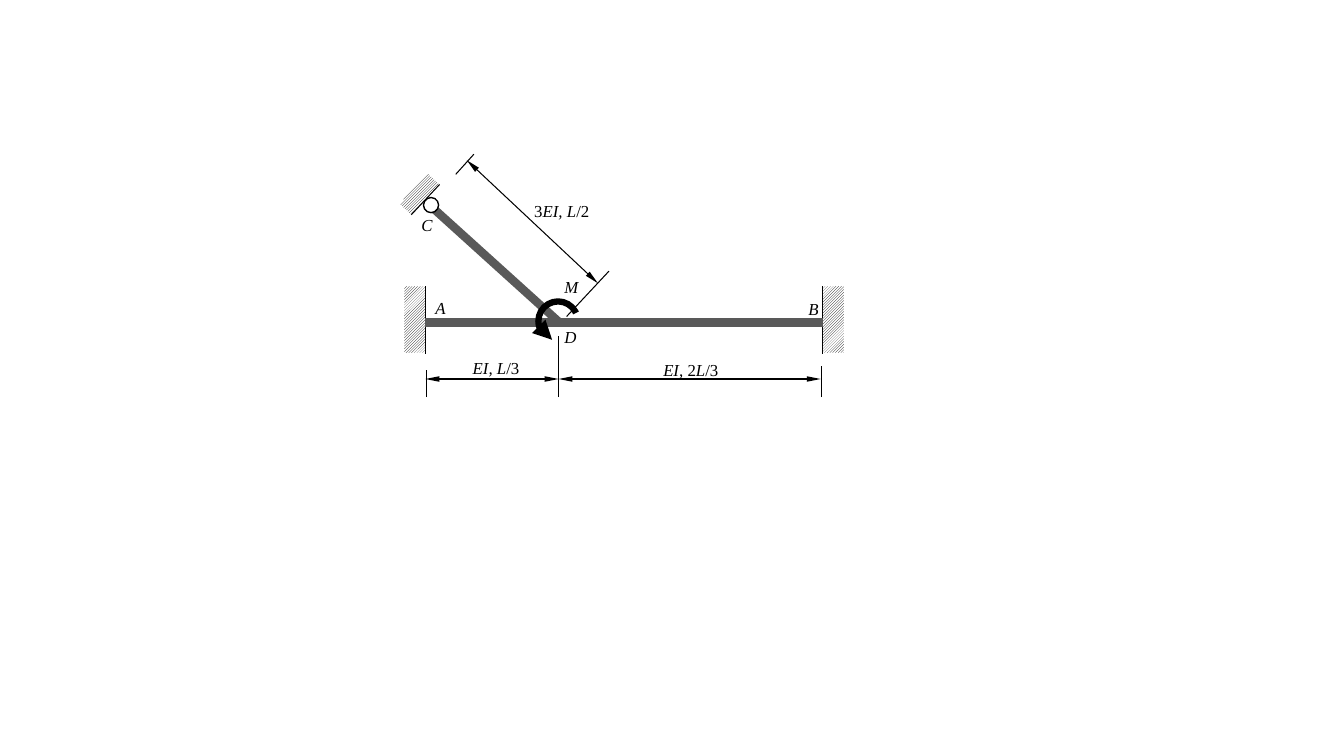
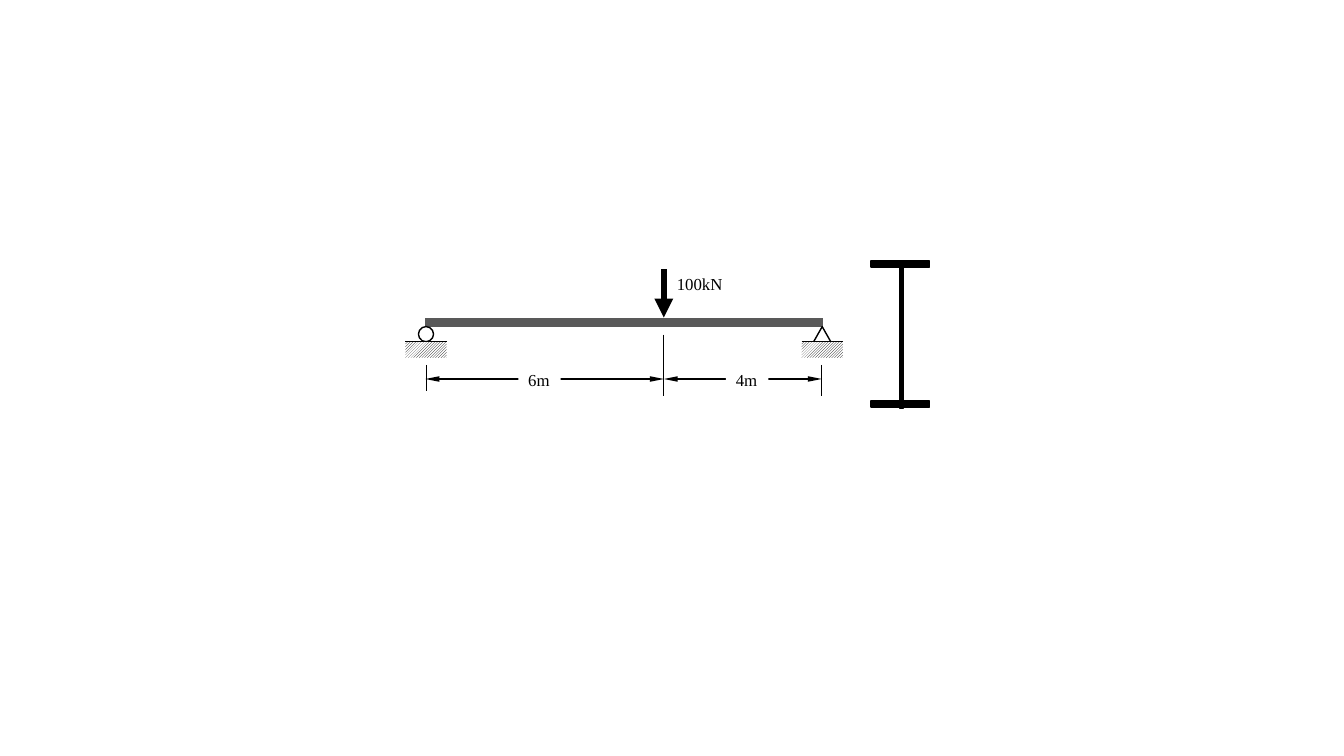
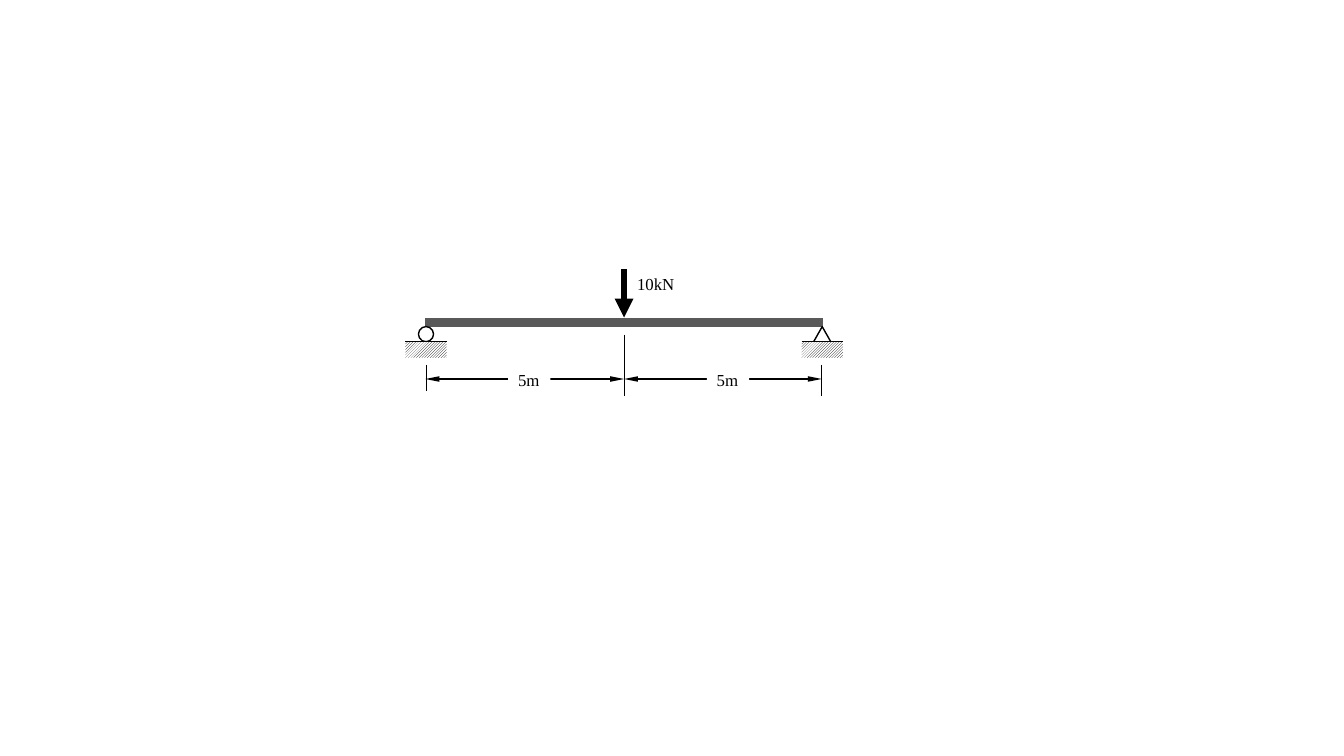
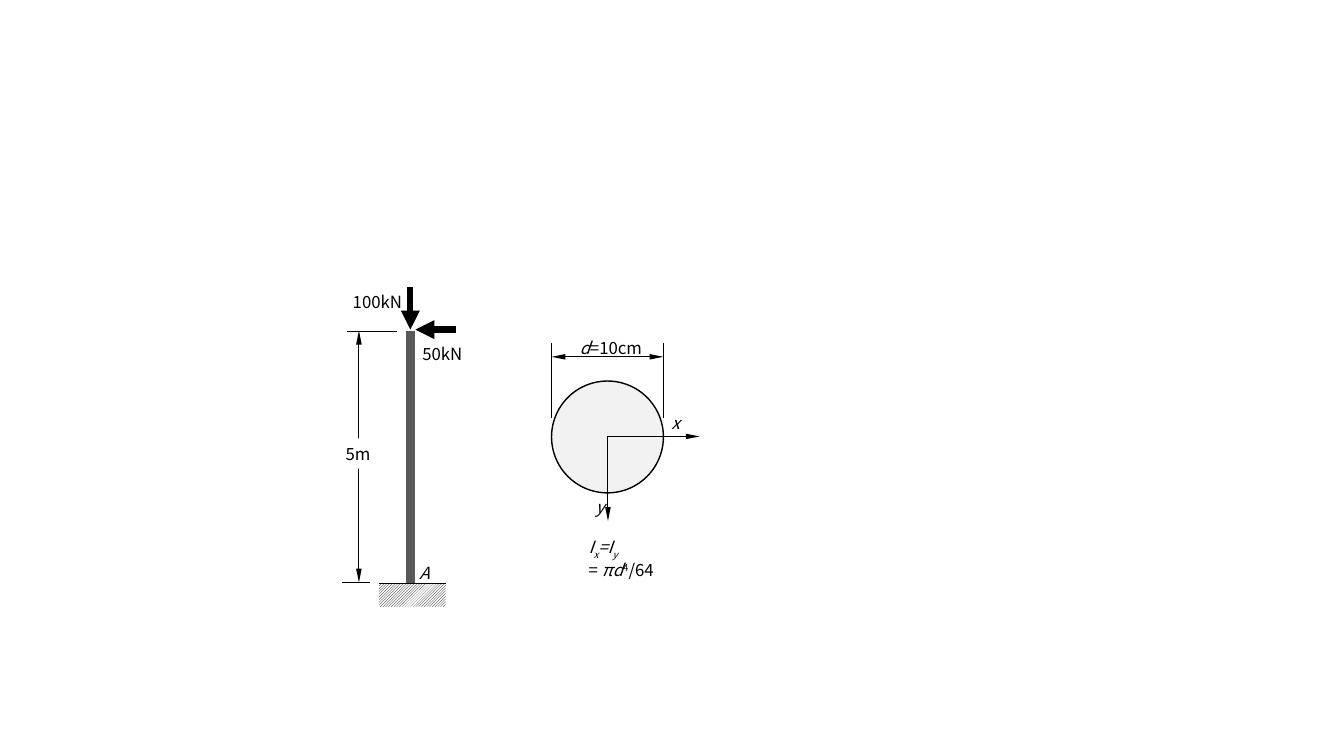
from lxml.etree import SubElement
from pptx import Presentation
from pptx.dml.color import RGBColor
from pptx.enum.dml import MSO_PATTERN
from pptx.enum.shapes import MSO_CONNECTOR, MSO_SHAPE
from pptx.enum.text import MSO_AUTO_SIZE
from pptx.oxml.ns import qn
from pptx.util import Inches, Pt

BLACK, WHITE, STEEL, PALE = "000000", "FFFFFF", "595959", "F2F2F2"
SERIF, SANS = "Times New Roman", "Noto Sans CJK KR"
THIN, OUTLINE, LOAD, MEMBER = 0.75, 1, 4.5, 6
BEAM_LEFT, BEAM_RIGHT, BEAM_Y, DIM_Y = 4.22, 8.16, 3.2, 3.76
GROUND_Y = 3.39

# Labels: left, top, width, runs; a run is (text, style),
# with style letters i = italic, s = subscript, p = superscript
FRAME_LABELS = [
    (4.59, 3.5, 0.67, [("EI, L", "i"), ("/3", "")]),
    (6.48, 3.52, 0.75, [("EI, ", "i"), ("2", ""), ("L", "i"), ("/3", "")]),
    (5.2, 1.94, 0.75, [("3", ""), ("EI, L", "i"), ("/2", "")]),
    (4.22, 2.9, 0.31, [("A", "i")]),
    (7.92, 2.91, 0.31, [("B", "i")]),
    (4.08, 2.08, 0.31, [("C", "i")]),
    (5.5, 3.19, 0.31, [("D", "i")]),
    (5.5, 2.7, 0.34, [("M", "i")]),
]
COLUMN_LABELS = [
    (4.09, 3.36, 0.62, [("50kN", "")]),
    (3.4, 2.85, 0.72, [("100kN", "")]),
    (6.56, 4.05, 0.31, [("x", "i")]),
    (5.81, 4.88, 0.29, [("y", "i")]),
    (4.06, 5.53, 0.31, [("A", "i")]),
]
INERTIA = [
    [("I", "i"), ("x", "is"), ("=I", "i"), ("y", "is")],
    [("= ", ""), ("πd", "i"), ("4", "p"), ("/64", "")],
]
# Simple beams: load, label width, and (span in m, label left) for each span
HEAVY_BEAM = ("100kN", 0.66, [(6, 5.14), (4, 7.2)])
LIGHT_BEAM = ("10kN", 0.58, [(5, 5.04), (5, 7.01)])


def rgb(color):
    return RGBColor.from_string(color)


def set_line(shape, color, width, arrows=""):
    """Style a line; arrows is "", "end" or "both"."""
    shape.line.color.rgb = rgb(color)
    shape.line.width = Pt(width)
    ends = {"": [], "end": ["a:tailEnd"], "both": ["a:headEnd", "a:tailEnd"]}
    breadth, length = ("sm", "lg") if width == THIN else ("med", "med")
    outline = shape._element.spPr.find(qn("a:ln"))
    for end in ends[arrows]:
        SubElement(outline, qn(end), type="triangle", w=breadth, len=length)


def add_line(slide, x1, y1, x2, y2, arrows="", width=THIN, color=BLACK):
    line = slide.shapes.add_connector(
        MSO_CONNECTOR.STRAIGHT, Inches(x1), Inches(y1), Inches(x2), Inches(y2))
    set_line(line, color, width, arrows)
    SubElement(line._element.spPr, qn("a:effectLst"))


def add_member(slide, x1, y1, x2, y2):
    add_line(slide, x1, y1, x2, y2, width=MEMBER, color=STEEL)


def add_outline(slide, preset, left, top, width, height, fill=None):
    shape = slide.shapes.add_shape(
        preset, Inches(left), Inches(top), Inches(width), Inches(height))
    shape.shadow.inherit = False
    if fill:
        shape.fill.solid()
        shape.fill.fore_color.rgb = rgb(fill)
    else:
        shape.fill.background()
    set_line(shape, BLACK, OUTLINE)
    return shape


def add_hatch(slide, left, top, width, height, rotation=0):
    ground = add_outline(slide, MSO_SHAPE.RECTANGLE, left, top, width, height)
    ground.fill.patterned()
    ground.fill.pattern = MSO_PATTERN.LIGHT_UPWARD_DIAGONAL
    ground.fill.fore_color.rgb = rgb(BLACK)
    ground.fill.back_color.rgb = rgb(WHITE)
    ground.line.fill.background()
    ground.rotation = rotation


def add_ground(slide, left, top, width, depth):
    add_hatch(slide, left, top, width, depth)
    add_line(slide, left, top, left + width, top)


def add_label(slide, left, top, width, *lines, font=SERIF, fill=None, height=0.3):
    label = slide.shapes.add_textbox(
        Inches(left), Inches(top), Inches(width), Inches(height))
    if fill:
        label.fill.solid()
        label.fill.fore_color.rgb = rgb(fill)
    frame = label.text_frame
    frame.word_wrap = False
    frame.auto_size = MSO_AUTO_SIZE.SHAPE_TO_FIT_TEXT
    for number, runs in enumerate(lines):
        paragraph = frame.add_paragraph() if number else frame.paragraphs[0]
        paragraph.font.name = font
        paragraph.font.size = Pt(12)
        paragraph.font.color.rgb = rgb(BLACK)
        for text, style in runs:
            run = paragraph.add_run()
            run.text = text
            run.font.italic = "i" in style
            for letter, baseline in (("s", "-25000"), ("p", "30000")):
                if letter in style:
                    run._r.get_or_add_rPr().set("baseline", baseline)


def build_frame(slide):
    joint_x = 5.54
    # Walls and members
    for wall_left, face_x in ((4.01, BEAM_LEFT), (BEAM_RIGHT, BEAM_RIGHT)):
        add_hatch(slide, wall_left, 2.84, 0.21, 0.66)
        add_line(slide, face_x, 2.84, face_x, 3.51)
    add_member(slide, BEAM_LEFT, BEAM_Y, BEAM_RIGHT, BEAM_Y)
    add_member(slide, 4.3, 2.07, 5.55, BEAM_Y)
    # Pinned support at C
    add_outline(slide, MSO_SHAPE.OVAL, 4.2, 1.96, 0.15, 0.15, WHITE)
    add_hatch(slide, 4.08, 1.72, 0.16, 0.41, 223.3)
    add_line(slide, 4.08, 2.13, 4.36, 1.83)
    # Dimensions along the beam and the inclined member
    add_line(slide, BEAM_LEFT, DIM_Y, joint_x, DIM_Y, "both")
    add_line(slide, joint_x, DIM_Y, 8.14, DIM_Y, "both")
    for tick_x, tick_top in ((4.23, 3.67), (joint_x, 3.33), (8.15, 3.63)):
        add_line(slide, tick_x, 3.94, tick_x, tick_top)
    add_line(slide, 4.63, 1.59, 5.93, 2.81, "both")
    add_line(slide, 4.52, 1.73, 4.7, 1.53)
    add_line(slide, 5.62, 3.14, 6.04, 2.69)
    # Moment at D
    moment = add_outline(slide, MSO_SHAPE.ARC, 5.34, 2.99, 0.39, 0.39)
    moment.adjustments[0], moment.adjustments[1] = 122.6, 43.41
    moment._element.spPr.find(qn("a:xfrm")).set("flipH", "1")
    set_line(moment, BLACK, LOAD, "end")
    for left, top, width, runs in FRAME_LABELS:
        add_label(slide, left, top, width, runs)


def build_simple_beam(slide, load, load_width, spans):
    total = sum(metres for metres, _ in spans)
    load_x = BEAM_LEFT + (BEAM_RIGHT - BEAM_LEFT) * spans[0][0] / total
    add_member(slide, BEAM_LEFT, BEAM_Y, BEAM_RIGHT, BEAM_Y)
    # Roller and pin on their grounds
    add_outline(slide, MSO_SHAPE.OVAL, 4.15, 3.24, 0.15, 0.15, WHITE)
    add_outline(slide, MSO_SHAPE.ISOSCELES_TRIANGLE, 8.07, 3.24, 0.17, 0.15)
    for ground_left in (4.02, 7.95):
        add_ground(slide, ground_left, GROUND_Y, 0.41, 0.16)
    # Spans
    for x1, x2 in ((BEAM_LEFT, load_x), (load_x, 8.15)):
        add_line(slide, x1, DIM_Y, x2, DIM_Y, "both")
    for tick_x, top, bottom in ((4.23, 3.62, 3.88), (load_x, 3.32, 3.93), (8.15, 3.62, 3.93)):
        add_line(slide, tick_x, top, tick_x, bottom)
    for metres, left in spans:
        add_label(slide, left, 3.62, 0.42, [(f"{metres}m", "")], fill=WHITE)
    # Load
    add_line(slide, load_x, 2.67, load_x, 3.15, "end", LOAD)
    add_label(slide, load_x + 0.03, 2.67, load_width, [(load, "")])


def build_i_section(slide):
    for left, top, width, height in (
            (8.92, 2.59, 0.04, 1.46), (8.64, 2.59, 0.58, 0.06), (8.64, 3.98, 0.58, 0.06)):
        add_outline(slide, MSO_SHAPE.RECTANGLE, left, top, width, height, BLACK)


def build_column(slide):
    column_x, top_y, base_y = 4.07, 3.28, 5.79
    circle_left, circle_top, diameter = 5.47, 3.78, 1.11
    center_x, center_y = 6.03, 4.33
    add_label(slide, 5.65, 3.3, 0.82, [("d", "i"), ("=10cm", "")], font=SANS, fill=WHITE)
    # Column, ground and height
    add_member(slide, column_x, top_y, column_x, base_y)
    add_ground(slide, 3.76, base_y, 0.66, 0.23)
    add_line(slide, 3.56, top_y, 3.56, 5.78, "both")
    add_line(slide, 3.44, 3.29, 3.94, 3.29)
    add_line(slide, 3.39, 5.78, 3.67, 5.78)
    add_label(slide, 3.33, 4.35, 0.45, [("5m", "")], font=SANS, fill=WHITE)
    # Loads
    add_line(slide, 4.52, 3.27, 4.12, 3.27, "end", LOAD)
    add_line(slide, column_x, 2.85, column_x, 3.27, "end", LOAD)
    # Round section with its axes and diameter
    add_outline(slide, MSO_SHAPE.OVAL, circle_left, circle_top, diameter, diameter, PALE)
    add_line(slide, center_x, center_y, center_x, 5.17, "end")
    add_line(slide, center_x, center_y, 6.94, center_y, "end")
    circle_right = circle_left + diameter
    add_line(slide, circle_left, 3.54, circle_right, 3.54, "both")
    for edge_x in (circle_left, circle_right):
        add_line(slide, edge_x, 3.4, edge_x, 4.15)
    for left, top, width, runs in COLUMN_LABELS:
        add_label(slide, left, top, width, runs, font=SANS)
    add_label(slide, 5.74, 5.28, 0.9, *INERTIA, font=SANS, height=0.5)


def main():
    deck = Presentation()
    deck.slide_width, deck.slide_height = Inches(13.33), Inches(7.5)
    frame, heavy, light, column = (
        deck.slides.add_slide(deck.slide_layouts[6]) for _ in range(4))
    build_frame(frame)
    build_simple_beam(heavy, *HEAVY_BEAM)
    build_i_section(heavy)
    build_simple_beam(light, *LIGHT_BEAM)
    build_column(column)
    deck.save("out.pptx")


if __name__ == "__main__":
    main()
